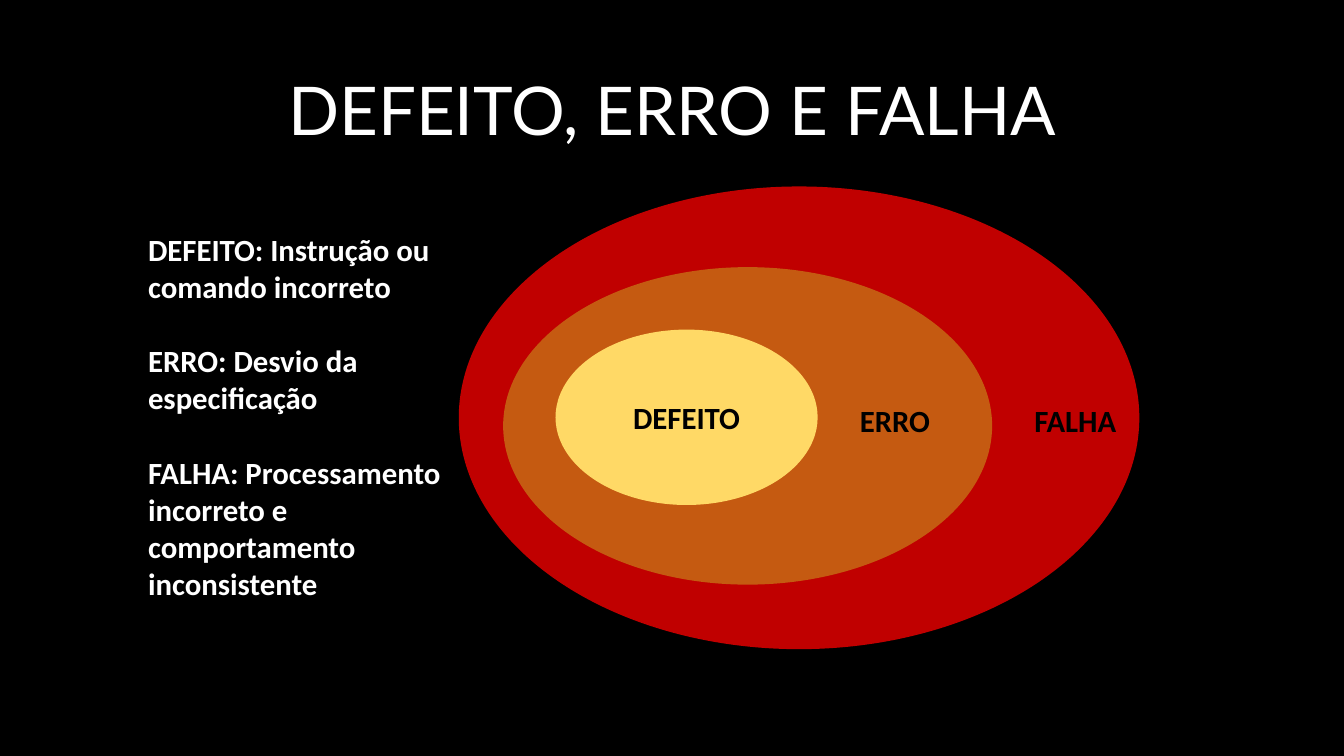
from pptx import Presentation
from pptx.dml.color import RGBColor
from pptx.enum.shapes import MSO_SHAPE
from pptx.enum.text import MSO_ANCHOR, PP_ALIGN
from pptx.util import Inches, Pt

OVAL = MSO_SHAPE.OVAL
TOP, MIDDLE = MSO_ANCHOR.TOP, MSO_ANCHOR.MIDDLE
LEFT, CENTER = PP_ALIGN.LEFT, PP_ALIGN.CENTER

# Content: boxes are left, top, width, height in inches
TITLE = "DEFEITO, ERRO E FALHA"
DEFINITIONS = [
    "DEFEITO: Instrução ou comando incorreto",
    "ERRO: Desvio da especificação",
    "FALHA: Processamento incorreto e comportamento inconsistente",
]
ELLIPSES = [
    ((4.55, 1.85, 6.75, 4.59), "C00000", ""),
    ((4.99, 2.65, 4.85, 3.15), "C55A11", ""),
    ((5.51, 3.27, 2.6, 1.74), "FFD966", "DEFEITO"),
]
LABELS = [
    ((8.43, 3.94, 0.91, 0.47), "ERRO"),
    ((10.16, 3.94, 1.03, 0.47), "FALHA"),
]


def color(value):
    return RGBColor.from_string(value)


def write(sp, lines, size=22, font="Calibri", fill="000000", bold=True,
          align=LEFT, anchor=TOP, wrap=True, gap=0, spacing=None):
    tf = sp.text_frame
    tf.word_wrap = wrap
    tf.vertical_anchor = anchor
    for i, line in enumerate(lines):
        p = tf.add_paragraph() if i else tf.paragraphs[0]
        p.alignment = align
        if spacing:
            p.line_spacing = spacing
        if i and gap:
            p.space_before = Pt(gap)
        r = p.add_run()
        r.text = line
        r.font.size, r.font.name, r.font.bold = Pt(size), font, bold
        r.font.color.rgb = color(fill)


def text_box(box, lines, **style):
    write(s.shapes.add_textbox(*map(Inches, box)), lines, **style)


prs = Presentation()
prs.slide_width, prs.slide_height = Inches(13.33), Inches(7.5)
s = prs.slides.add_slide(prs.slide_layouts[6])
s.background.fill.solid()
s.background.fill.fore_color.rgb = color("000000")

# Nested ellipses, from the outermost inwards
for box, fill, label in ELLIPSES:
    sp = s.shapes.add_shape(OVAL, *map(Inches, box))
    sp.shadow.inherit = False
    sp.fill.solid()
    sp.fill.fore_color.rgb = color(fill)
    sp.line.fill.background()
    if label:
        write(sp, [label], align=CENTER, anchor=MIDDLE)

# Labels of the two outer ellipses
for box, label in LABELS:
    text_box(box, [label], wrap=False)

# Title and definitions
text_box((0.92, 0.4, 11.5, 1.45), [TITLE], size=48, font="Lato", fill="FFFFFF",
         bold=False, align=CENTER, anchor=MIDDLE, spacing=0.9)
text_box((1.37, 2.24, 3.18, 3.8), DEFINITIONS, fill="FFFFFF", gap=26.8)

prs.save("out.pptx")
